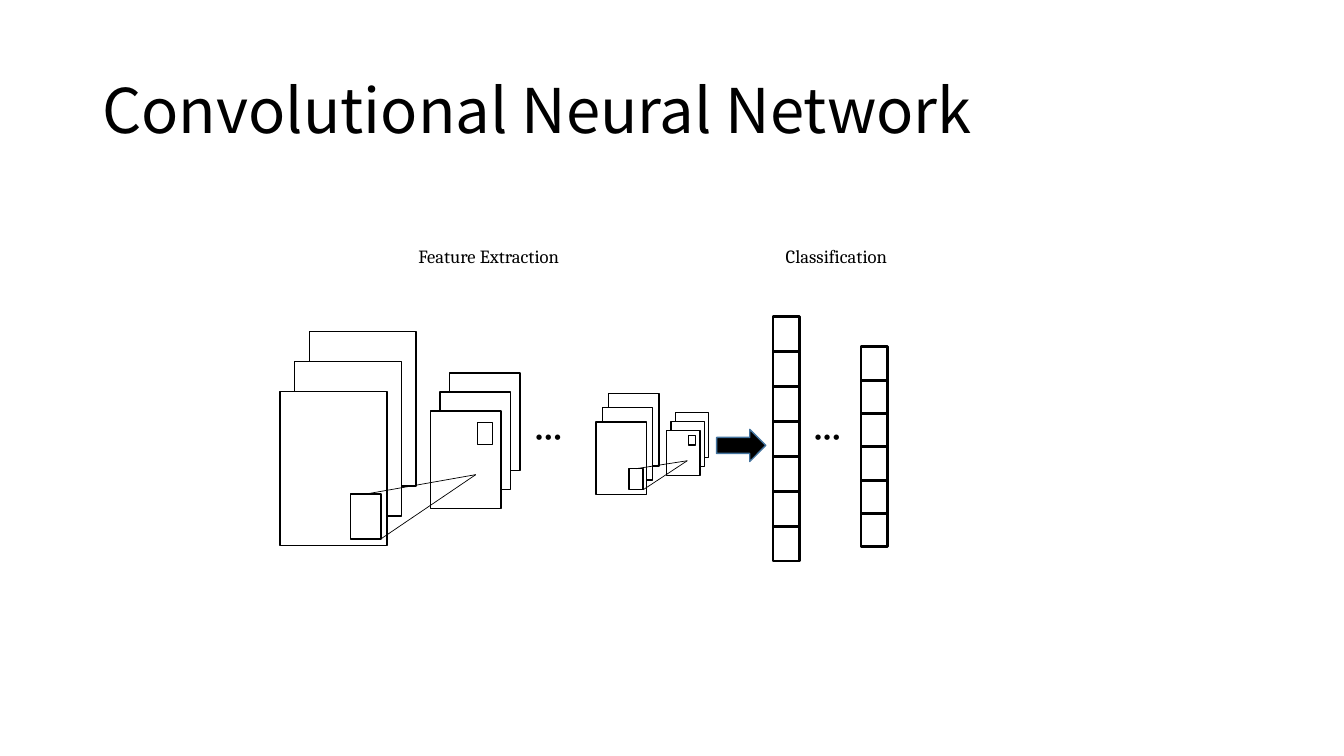
from dataclasses import dataclass
from lxml import etree
from pptx import Presentation
from pptx.dml.color import RGBColor as RGB
from pptx.enum.shapes import MSO_CONNECTOR as CONN, MSO_SHAPE as SHAPE
from pptx.enum.text import MSO_ANCHOR as ANCHOR, PP_ALIGN as ALIGN
from pptx.oxml.ns import qn
from pptx.util import Cm, Pt


@dataclass(frozen=True)
class Theme:
    ink: RGB = RGB(0, 0, 0)
    paper: RGB = RGB(255, 255, 255)
    arrow_edge: RGB = RGB(0x43, 0x73, 0x9E)
    title_font: str = "Noto Sans CJK KR"
    body_font: str = "Cambria"
    title_size: float = 44
    label_size: float = 13.3
    dots_size: float = 5
    cell_line: float = 2
    map_line: float = 1
    ray_line: float = 0.5


class Deck:
    def __init__(self, prs, theme):
        self.theme = theme
        self.slide = prs.slides.add_slide(prs.slide_layouts[6])

    def text(self, text, box, size, font, align=ALIGN.LEFT, anchor=ANCHOR.TOP):
        tf = self.slide.shapes.add_textbox(*map(Cm, box)).text_frame
        tf.word_wrap = True
        tf.vertical_anchor = anchor
        tf.text = text
        p = tf.paragraphs[0]
        p.alignment = align
        r = p.runs[0]
        r.font.name = font
        r.font.size = Pt(size)
        r.font.color.rgb = self.theme.ink
        return p

    def title(self, text, box):
        t = self.theme
        p = self.text(text, box, t.title_size, t.title_font, anchor=ANCHOR.MIDDLE)
        p.line_spacing = 0.9

    def label(self, text, box):
        self.text(text, box, self.theme.label_size, self.theme.body_font, ALIGN.CENTER)

    def dots(self, x, y):
        t = self.theme
        p = self.text("● ● ●", (x, y, 4.32, 1.07), t.dots_size, t.body_font)
        p.runs[0].font._element.set("spc", "55")

    def shape(self, kind, box, fill, edge, width):
        sp = self.slide.shapes.add_shape(kind, *map(Cm, box))
        sp.shadow.inherit = False
        sp.fill.solid()
        sp.fill.fore_color.rgb = fill
        sp.line.color.rgb = edge
        sp.line.width = Pt(width)

    def rect(self, box, width):
        self.shape(SHAPE.RECTANGLE, box, self.theme.paper, self.theme.ink, width)

    def arrow(self, box):
        t = self.theme
        self.shape(SHAPE.RIGHT_ARROW, box, t.ink, t.arrow_edge, t.map_line)

    def column(self, x, y, w, h, count):
        for i in range(count):
            self.rect((x, y + i * h, w, h), self.theme.cell_line)

    def feature_maps(self, x, y, w, h, dx, dy, layers=3):
        for i in range(layers):
            self.rect((x - i * dx, y + i * dy, w, h), self.theme.map_line)

    def ray(self, start, end):
        line = self.slide.shapes.add_connector(CONN.STRAIGHT, *map(Cm, start + end))
        line.line.color.rgb = self.theme.ink
        line.line.width = Pt(self.theme.ray_line)
        etree.SubElement(line._element.spPr, qn("a:effectLst"))

    def convolution(self, source, target, kernel, unit, tip):
        self.feature_maps(*source)
        self.feature_maps(*target)
        self.rect(kernel, self.theme.map_line)
        self.rect(unit, self.theme.map_line)
        x, y, w, h = kernel
        self.ray((x + w / 2, y), tip)
        self.ray((x + w, y + h), tip)


prs = Presentation()
prs.slide_width, prs.slide_height = Cm(33.87), Cm(19.05)
deck = Deck(prs, Theme())

deck.title("Convolutional Neural Network", (2.33, 1.01, 29.21, 3.68))
deck.arrow((18.06, 10.82, 1.24, 0.81))
deck.column(21.7, 8.74, 0.66, 0.84, 6)
deck.column(19.48, 7.98, 0.66, 0.88, 7)
deck.label("Classification", (16.94, 6.05, 8.28, 0.81))
deck.label("Feature Extraction", (8.18, 6.05, 8.28, 1.88))

deck.convolution(
    source=(7.8, 8.36, 2.69, 3.89, 0.37, 0.75),
    target=(11.33, 9.4, 1.78, 2.46, 0.24, 0.48),
    kernel=(8.83, 12.45, 0.77, 1.13),
    unit=(12.03, 10.64, 0.39, 0.57),
    tip=(11.99, 11.96),
)
deck.convolution(
    source=(15.34, 9.91, 1.27, 1.83, 0.16, 0.36),
    target=(17.02, 10.39, 0.84, 1.14, 0.11, 0.23),
    kernel=(15.85, 11.81, 0.36, 0.53),
    unit=(17.35, 10.97, 0.18, 0.25),
    tip=(17.32, 11.61),
)
for x in (13.26, 20.29):
    deck.dots(x, 10.77)

prs.save("out.pptx")
